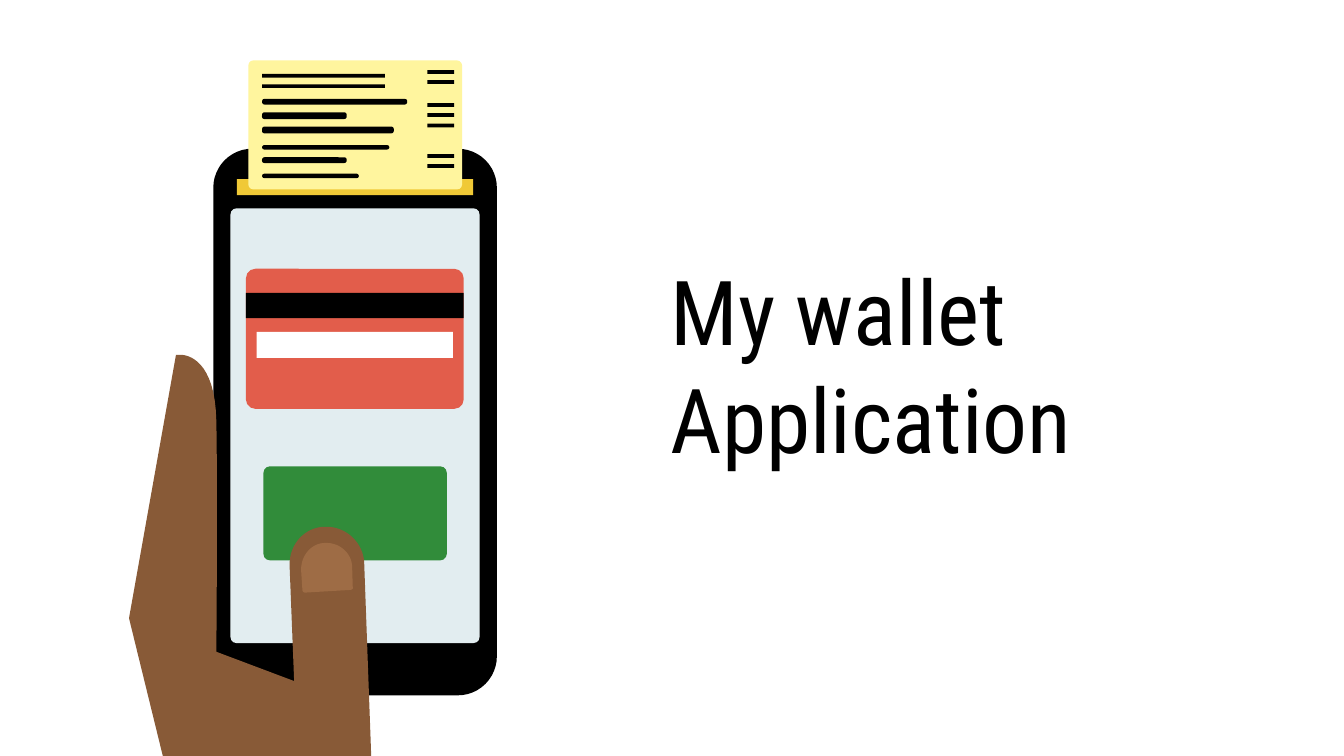
from dataclasses import dataclass

from pptx import Presentation
from pptx.dml.color import RGBColor
from pptx.enum.shapes import MSO_SHAPE
from pptx.enum.text import MSO_ANCHOR, PP_ALIGN
from pptx.util import Inches, Pt

RECTANGLE = MSO_SHAPE.RECTANGLE
ROUNDED = MSO_SHAPE.ROUNDED_RECTANGLE
MIDDLE = MSO_ANCHOR.MIDDLE
LEFT = PP_ALIGN.LEFT

COLUMNS, ROWS = 100, 56.25
CELL = Inches(0.1)
CURVE_STEPS = 16


@dataclass(frozen=True)
class Theme:
    font: str = "Roboto Condensed"
    title_size: int = 48
    ink: str = "000000"
    paper: str = "FFFFFF"
    screen: str = "E2EDF0"
    button: str = "318C3A"
    card: str = "E25D4B"
    slot: str = "F0C936"
    receipt: str = "FFF59E"
    skin: str = "885A37"
    nail: str = "9E6C45"


def grid(cells):
    return round(cells * CELL)


def curve_points(start, first, second, end):
    """Points along a cubic curve, without its start."""
    points = []
    for step in range(1, CURVE_STEPS + 1):
        t = step / CURVE_STEPS
        u = 1 - t
        weights = (u ** 3, 3 * u * u * t, 3 * u * t * t, t ** 3)
        points.append(tuple(
            sum(weight * point[axis] for weight, point in zip(weights, (start, first, second, end)))
            for axis in (0, 1)))
    return points


class SlideArtist:
    def __init__(self, slide, theme):
        self.slide = slide
        self.theme = theme
        self.drawing = slide.shapes.add_group_shape().shapes

    def paint(self, shape, color):
        shape.shadow.inherit = False
        shape.fill.solid()
        shape.fill.fore_color.rgb = RGBColor.from_string(color)
        shape.line.fill.background()

    def title(self, text, left, top, width, height):
        box = self.slide.shapes.add_textbox(*map(grid, (left, top, width, height)))
        frame = box.text_frame
        frame_format = {"word_wrap": True, "vertical_anchor": MIDDLE}
        for side in ("left", "top", "right", "bottom"):
            frame_format[f"margin_{side}"] = grid(1)
        for name, value in frame_format.items():
            setattr(frame, name, value)
        paragraph = frame.paragraphs[0]
        paragraph.text = text
        paragraph.alignment = LEFT
        font = paragraph.runs[0].font
        for name, value in {"name": self.theme.font, "size": Pt(self.theme.title_size)}.items():
            setattr(font, name, value)
        font.color.rgb = RGBColor.from_string(self.theme.ink)

    def block(self, left, top, width, height, color, radius=0):
        kind = ROUNDED if radius else RECTANGLE
        shape = self.drawing.add_shape(kind, *map(grid, (left, top, width, height)))
        if radius:
            shape.adjustments[0] = min(0.5, radius / min(width, height))
        self.paint(shape, color)

    def outline(self, start, segments, color):
        """A closed outline; a segment is one point (line) or three (curve)."""
        points = [start]
        for segment in segments:
            if len(segment) == 1:
                points += segment
            else:
                points += curve_points(points[-1], *segment)
        points = [(grid(x), grid(y)) for x, y in points]
        builder = self.drawing.build_freeform(*points[0])
        builder.add_line_segments(points[1:], close=True)
        self.paint(builder.convert_to_shape(), color)


def draw_phone(artist, theme):
    artist.block(15.87, 11.07, 21.1, 40.67, theme.ink, radius=2.9)
    artist.block(17.15, 15.5, 18.53, 32.35, theme.screen, radius=0.45)
    artist.block(19.6, 34.7, 13.65, 7, theme.button, radius=0.5)
    artist.block(18.3, 20, 16.2, 10.42, theme.card, radius=0.7)
    artist.block(18.3, 21.8, 16.2, 1.87, theme.ink)
    artist.block(19.1, 24.7, 14.6, 1.93, theme.paper)
    artist.block(17.63, 13.33, 17.57, 1.2, theme.slot)


def draw_receipt(artist, theme):
    artist.block(18.48, 4.5, 15.9, 9.6, theme.receipt, radius=0.37)
    rounded_lines = [(7.36, 10.8, 0.42), (8.36, 6.3, 0.5), (9.42, 9.8, 0.5),
                     (10.8, 9.47, 0.33), (11.7, 6.3, 0.43), (12.93, 7.2, 0.33)]
    for top, width, height in rounded_lines:
        artist.block(19.5, top, width, height, theme.ink, radius=0.18)
    for top in (5.5, 6.27):
        artist.block(19.5, top, 9.15, 0.28, theme.ink)
    for top in (5.22, 5.97, 7.67, 8.42, 9.2, 11.47, 12.22):
        artist.block(31.8, top, 2, 0.28, theme.ink)


def draw_hand(artist, theme):
    artist.outline((13.4, 26.4), [
        [(14, 26.4), (16, 26.8), (16.1, 31.3)],
        [(16.2, 36.7), (16.1, 48.5), (16.1, 48.5)],
        [(23.8, 51.4)], [(27.6, 57.3)], [(27.7, 57.9)],
        [(27.7, 60.4), (26.9, 62.9), (25.5, 64.9)],
        [(25.5, 69)], [(15.1, 68.4)], [(9.6, 46)], [(13.1, 26.4)],
    ], theme.skin)
    artist.outline((24.3, 39.2), [
        [(25.8, 39.2), (27, 40.4), (27.1, 41.8)],
        [(27.7, 58.4)], [(22.2, 58.6)], [(21.55, 42.1)],
        [(21.5, 40.5), (22.7, 39.2), (24.2, 39.2)],
    ], theme.skin)
    artist.outline((24.3, 40.4), [
        [(25.3, 40.4), (26.2, 41.2), (26.2, 42.2)], [(26.25, 43.7)],
        [(26.3, 43.8), (26.2, 43.9), (26, 43.9)], [(22.7, 44.1)],
        [(22.6, 44.1), (22.5, 44), (22.5, 43.9)], [(22.4, 42.4)],
        [(22.4, 41.3), (23.2, 40.4), (24.2, 40.4)],
    ], theme.nail)


def main():
    presentation = Presentation()
    presentation.slide_width = grid(COLUMNS)
    presentation.slide_height = grid(ROWS)
    slide = presentation.slides.add_slide(presentation.slide_layouts[6])
    theme = Theme()
    artist = SlideArtist(slide, theme)
    artist.title("My wallet Application", 48.9, 13.5, 41.7, 27.1)
    draw_phone(artist, theme)
    draw_receipt(artist, theme)
    draw_hand(artist, theme)
    presentation.save("out.pptx")


if __name__ == "__main__":
    main()
